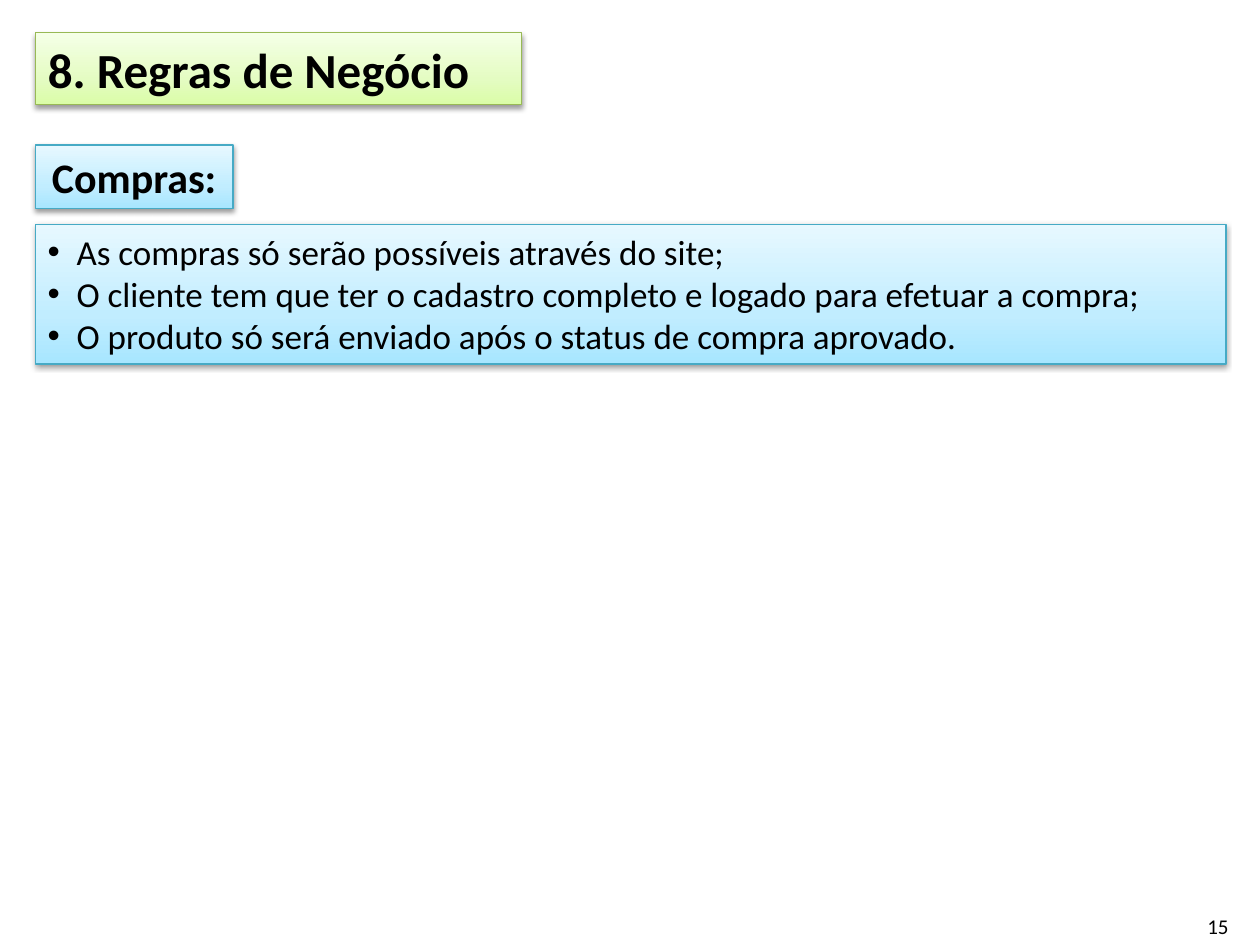
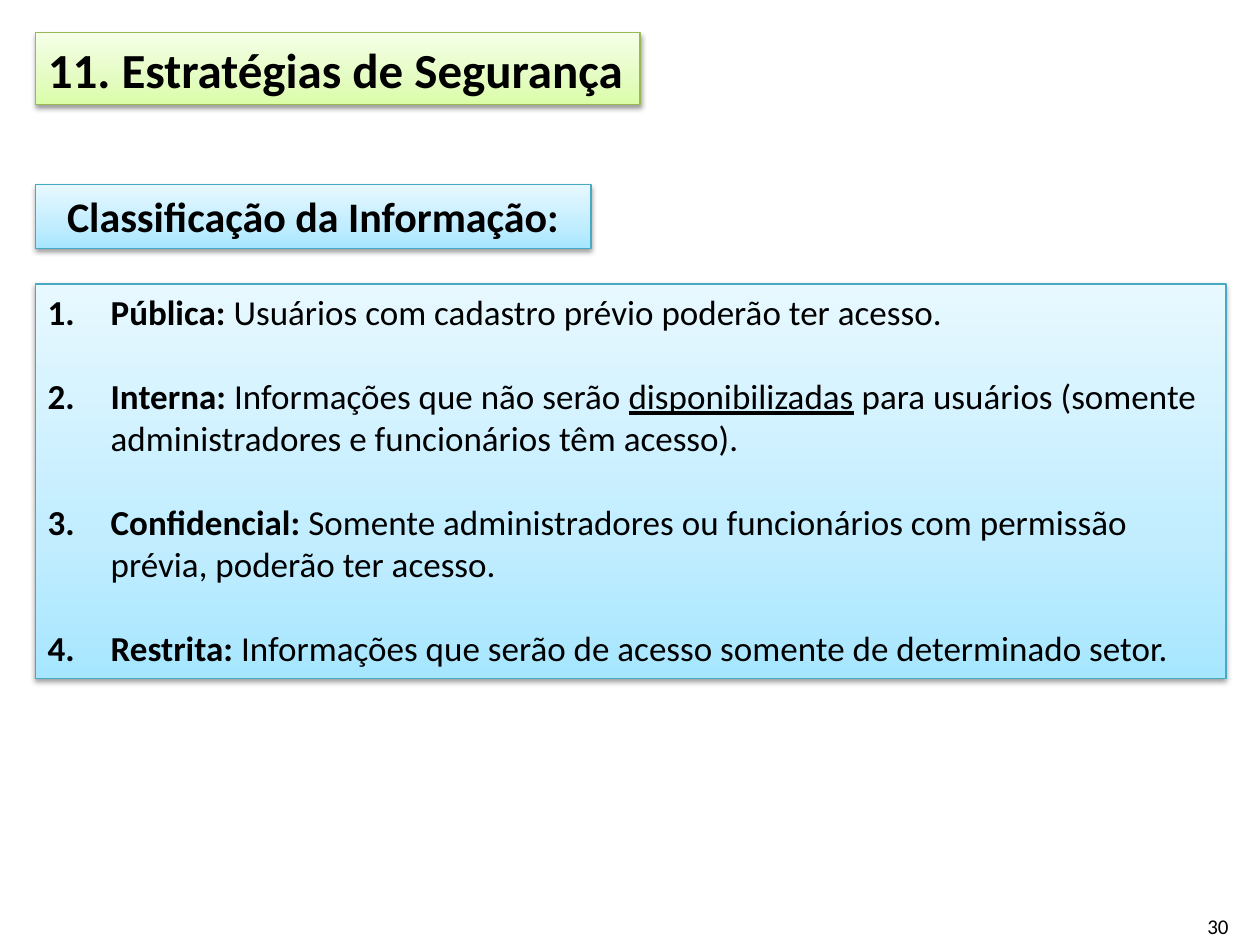
from lxml.etree import SubElement
from pptx import Presentation
from pptx.dml.color import RGBColor
from pptx.enum.text import MSO_ANCHOR as Anchor, MSO_AUTO_SIZE as AutoSize, PP_ALIGN as Align
from pptx.enum.shapes import MSO_SHAPE as Preset
from pptx.oxml.ns import qn
from pptx.util import Pt

FONT = "Calibri"
BLACK = "000000"
LEFT = 20.16
BODY_WIDTH = 680.4
LINE_HEIGHT = 24

# Gradient stops (percent, colour) from bottom to top, then the outline
GREEN = ([(0, "DAFDA7"), (35, "E4FCC2"), (100, "F5FFE7")], "98B955")
BLUE = ([(0, "A7E6FF"), (35, "C1EDFF"), (100, "E7F8FF")], "46AAC5")


def rgb(hex_colour):
    return RGBColor.from_string(hex_colour)


def add_node(parent, tag, **attributes):
    return SubElement(parent, qn(tag), {key: str(value) for key, value in attributes.items()})


def place(shape, left, top, width, height):
    shape.left, shape.top = Pt(left), Pt(top)
    shape.width, shape.height = Pt(width), Pt(height)


class Deck:
    def __init__(self):
        self.prs = Presentation()
        self.prs.slide_width, self.prs.slide_height = Pt(720), Pt(540)
        self.slide = None

    def start_slide(self, title, title_width, number):
        self.slide = self.prs.slides.add_slide(self.prs.slide_layouts[5])
        heading = self.slide.shapes.title
        place(heading, LEFT, 18.72, title_width, 41.04)
        self.paint(heading, GREEN)
        self.set_text(heading, [[(title, "b")]], 28)
        self.page_number(number)

    def paint(self, shape, scheme):
        """Give a panel its gradient, outline and soft shadow."""
        stops, outline = scheme
        shape.fill.gradient()
        shape.fill.gradient_angle = 90
        properties = shape._element.spPr
        stop_list = properties.find(qn("a:gradFill")).find(qn("a:gsLst"))
        for old_stop in list(stop_list):
            stop_list.remove(old_stop)
        for percent, colour in stops:
            stop = add_node(stop_list, "a:gs", pos=percent * 1000)
            add_node(stop, "a:srgbClr", val=colour)
        shape.line.color.rgb = rgb(outline)
        shape.line.width = Pt(0.75)
        shape.shadow.inherit = False
        shadow = add_node(properties.find(qn("a:effectLst")), "a:outerShdw",
                          blurRad=Pt(3.1), dist=Pt(1.6), dir=90 * 60000, rotWithShape=0)
        add_node(add_node(shadow, "a:srgbClr", val=BLACK), "a:alpha", val=38000)

    def set_text(self, shape, paragraphs, size, align=Align.LEFT, anchor=Anchor.TOP):
        """Fill a shape with paragraphs of (text, style) runs; style may hold b and u."""
        frame = shape.text_frame
        frame.word_wrap = True
        frame.auto_size = AutoSize.NONE
        frame.vertical_anchor = anchor
        for index, runs in enumerate(paragraphs):
            paragraph = frame.paragraphs[0] if index == 0 else frame.add_paragraph()
            paragraph.alignment = align
            for text, style in runs:
                run = paragraph.add_run()
                run.text = text
                run.font.name, run.font.size = FONT, Pt(size)
                run.font.color.rgb = rgb(BLACK)
                run.font.bold = "b" in style
                run.font.underline = "u" in style
        return frame.paragraphs

    def panel(self, top, width, height):
        shape = self.slide.shapes.add_shape(Preset.RECTANGLE, Pt(LEFT), Pt(top),
                                            Pt(width), Pt(height))
        self.paint(shape, BLUE)
        return shape

    def subtitle(self, text, top, width):
        self.set_text(self.panel(top, width, 36.36), [[(text, "b")]], 24, Align.CENTER)

    def item_list(self, items, top, height, indent, gap=0, numbered=False):
        paragraphs = self.set_text(self.panel(top, BODY_WIDTH, height), items, 20)
        for index, paragraph in enumerate(paragraphs):
            if index:
                paragraph.space_before = Pt(gap)
            properties = paragraph._p.get_or_add_pPr()
            properties.set("marL", str(Pt(indent)))
            properties.set("indent", str(-Pt(indent)))
            if numbered:
                add_node(properties, "a:buFont", typeface="+mj-lt")
                add_node(properties, "a:buAutoNum", type="arabicPeriod")
            else:
                add_node(properties, "a:buFont", typeface="Arial")
                add_node(properties, "a:buChar", char="•")

    def page_number(self, number):
        box = self.slide.shapes.add_textbox(Pt(541.44), Pt(514.8), Pt(167.76), Pt(28.8))
        self.set_text(box, [[(str(number), "")]], 12, Align.RIGHT, Anchor.MIDDLE)


def business_rules(deck):
    deck.start_slide("8. Regras de Negócio", 277.92, 15)
    deck.subtitle("Compras:", 82.8, 113.04)
    rules = [
        "As compras só serão possíveis através do site;",
        "O cliente tem que ter o cadastro completo e logado para efetuar a compra;",
        "O produto só será enviado após o status de compra aprovado.",
    ]
    deck.item_list([[(rule, "")] for rule in rules], 128.16, 79.92, indent=16.5)


def security_strategies(deck):
    deck.start_slide("11. Estratégias de Segurança", 345.6, 30)
    deck.subtitle("Classificação da Informação:", 105.48, 317.52)
    levels = [
        [("Pública: ", "b"), ("Usuários com cadastro prévio poderão ter acesso.", "")],
        [("Interna: ", "b"), ("Informações que não serão ", ""), ("disponibilizadas", "u"),
         (" para usuários (somente administradores e funcionários têm acesso).", "")],
        [("Confidencial: ", "b"),
         ("Somente administradores ou funcionários com permissão prévia, "
          "poderão ter acesso.", "")],
        [("Restrita: ", "b"),
         ("Informações que serão de acesso somente de determinado setor.", "")],
    ]
    deck.item_list(levels, 162.36, 225.36, indent=36, gap=LINE_HEIGHT, numbered=True)


def main():
    deck = Deck()
    business_rules(deck)
    security_strategies(deck)
    deck.prs.save("out.pptx")


if __name__ == "__main__":
    main()
